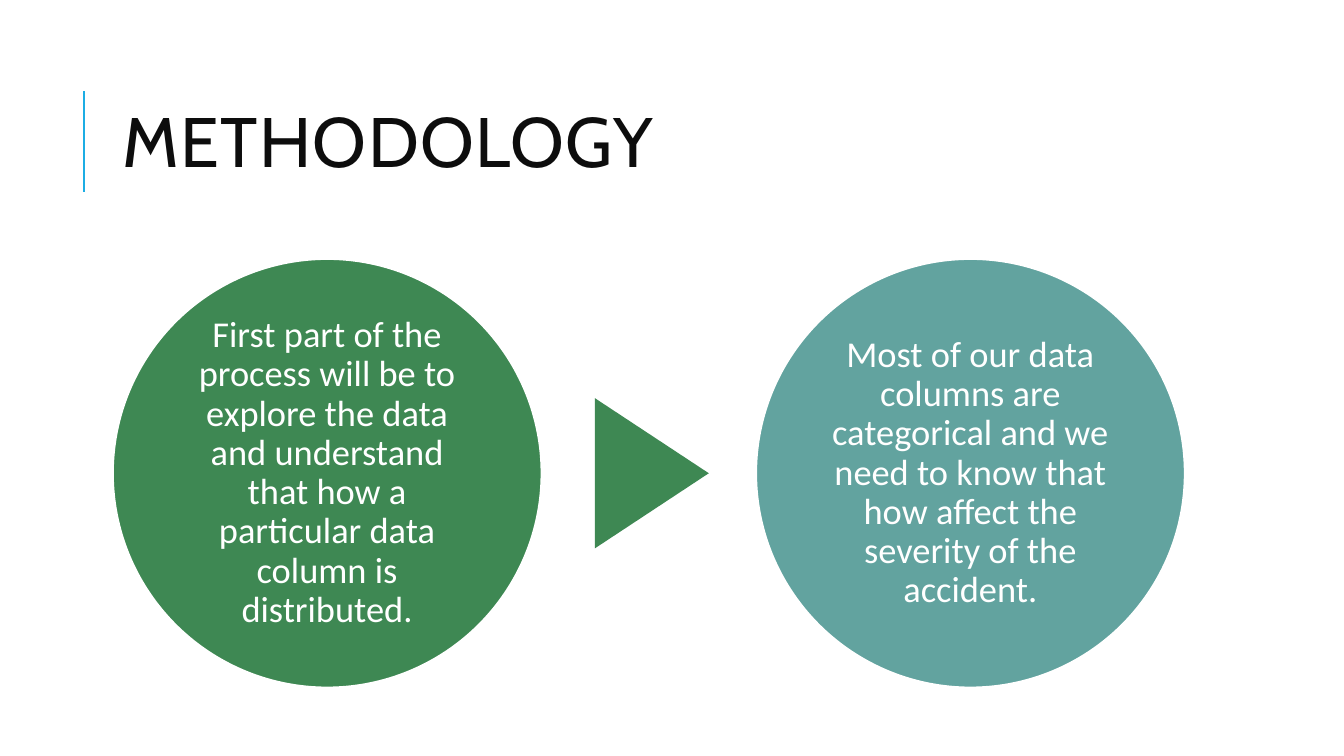
from pptx import Presentation
from pptx.dml.color import RGBColor
from pptx.enum.shapes import MSO_CONNECTOR, MSO_SHAPE
from pptx.enum.text import MSO_ANCHOR, PP_ALIGN
from pptx.oxml.ns import qn
from pptx.util import Inches, Pt

TITLE = "METHODOLOGY"
STEPS = [
    ("First part of the process will be to explore the data and understand "
     "that how a particular data column is distributed.", "3E8853"),
    ("Most of our data columns are categorical and we need to know that "
     "how affect the severity of the accident.", "62A39F"),
]
ARROW_COLOR = "3E8853"
WHITE = "FFFFFF"

LEFT, CIRCLE_TOP, DIAMETER, STEP_PITCH = 1.12, 2.57, 4.25, 6.38
ARROW_WIDTH, ARROW_HEIGHT = 1.49, 1.13
ARROW_CENTER_X = 6.465
TEXT_INSET = 0.04


def color(hex_value):
    return RGBColor.from_string(hex_value)


def add_filled_shape(slide, kind, left, top, width, height, fill):
    shape = slide.shapes.add_shape(
        kind, Inches(left), Inches(top), Inches(width), Inches(height))
    shape.shadow.inherit = False
    shape.fill.solid()
    shape.fill.fore_color.rgb = color(fill)
    return shape


def write(frame, text, font, size, text_color, line_spacing):
    """Put one middle-anchored paragraph into the frame; return paragraph and run."""
    frame.word_wrap = True
    frame.vertical_anchor = MSO_ANCHOR.MIDDLE
    paragraph = frame.paragraphs[0]
    paragraph.line_spacing = line_spacing
    run = paragraph.add_run()
    run.text = text
    run.font.name = font
    run.font.size = Pt(size)
    run.font.color.rgb = color(text_color)
    return paragraph, run


def add_title(slide):
    rule = slide.shapes.add_connector(
        MSO_CONNECTOR.STRAIGHT, Inches(0.83), Inches(1.9), Inches(0.83), Inches(0.9))
    rule.line.color.rgb = color("1CADE4")
    rule.line.width = Pt(1.5)
    properties = rule._element.spPr
    properties.append(properties.makeelement(qn("a:effectLst"), {}))

    box = slide.shapes.add_textbox(Inches(LEFT), Inches(0.64), Inches(10.63), Inches(1.64))
    _, run = write(box.text_frame, TITLE, "Cabin", 50, "0D0D0D", 0.8)
    run.font._element.set("spc", "100")


def add_step(slide, index, text, fill):
    circle = add_filled_shape(
        slide, MSO_SHAPE.OVAL, LEFT + index * STEP_PITCH, CIRCLE_TOP, DIAMETER, DIAMETER, fill)
    circle.line.color.rgb = color(WHITE)
    circle.line.width = Pt(1.25)
    frame = circle.text_frame
    frame.margin_left = frame.margin_right = Inches(TEXT_INSET)
    frame.margin_top = frame.margin_bottom = Inches(TEXT_INSET)
    paragraph, _ = write(frame, text, "Calibri", 26, WHITE, 0.9)
    paragraph.alignment = PP_ALIGN.CENTER


def add_arrow(slide):
    center_y = CIRCLE_TOP + DIAMETER / 2
    arrow = add_filled_shape(
        slide, MSO_SHAPE.ISOSCELES_TRIANGLE, ARROW_CENTER_X - ARROW_WIDTH / 2,
        center_y - ARROW_HEIGHT / 2, ARROW_WIDTH, ARROW_HEIGHT, ARROW_COLOR)
    arrow.rotation = 90
    arrow.line.fill.background()


def main():
    presentation = Presentation()
    presentation.slide_width = Inches(13.33)
    presentation.slide_height = Inches(7.5)
    slide = presentation.slides.add_slide(presentation.slide_layouts[6])
    add_title(slide)
    for index, (text, fill) in enumerate(STEPS):
        add_step(slide, index, text, fill)
    add_arrow(slide)
    presentation.save("out.pptx")


if __name__ == "__main__":
    main()
